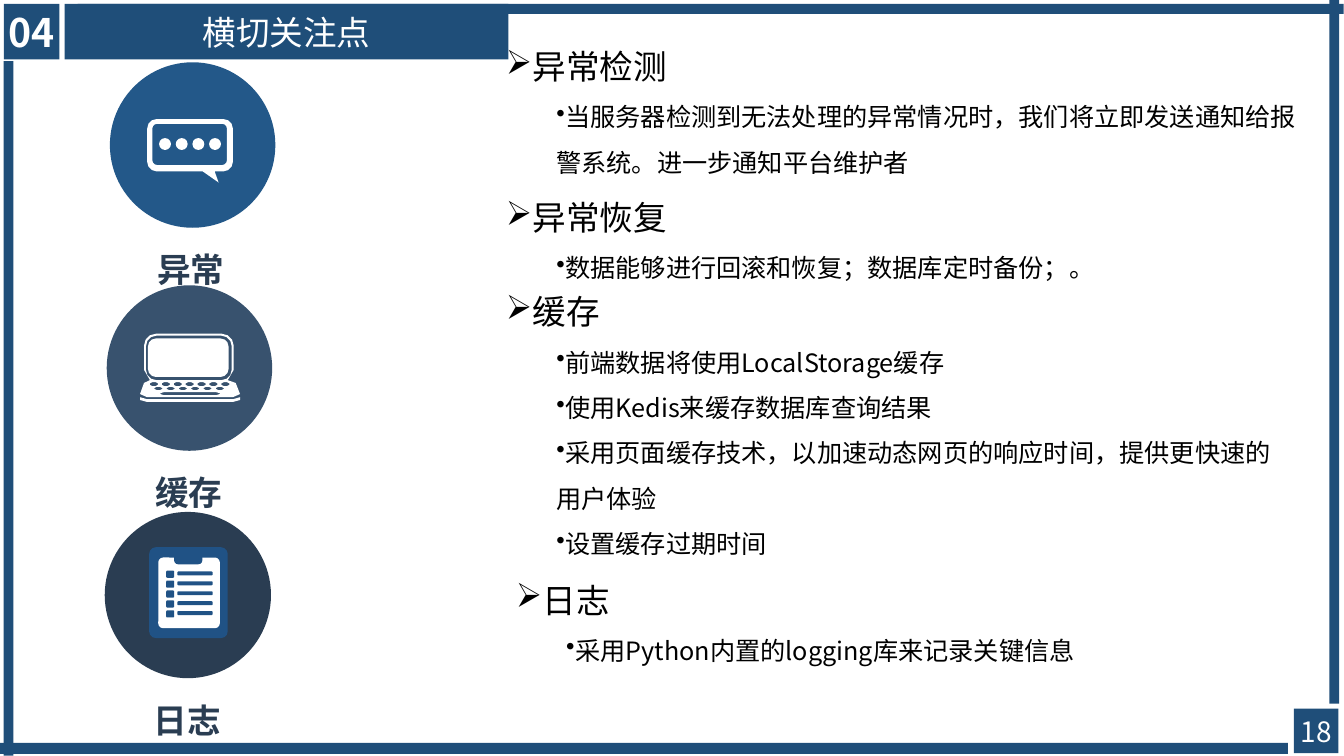
from dataclasses import dataclass
from math import cos, pi, sin

from lxml import etree
from pptx import Presentation
from pptx.dml.color import RGBColor
from pptx.enum.shapes import MSO_SHAPE
from pptx.enum.text import MSO_ANCHOR, MSO_AUTO_SIZE, PP_ALIGN
from pptx.oxml.ns import qn
from pptx.util import Cm, Pt

RECT, OVAL, ROUND = MSO_SHAPE.RECTANGLE, MSO_SHAPE.OVAL, MSO_SHAPE.ROUNDED_RECTANGLE
MIDDLE, CENTER = MSO_ANCHOR.MIDDLE, PP_ALIGN.CENTER
FIXED, GROW = MSO_AUTO_SIZE.NONE, MSO_AUTO_SIZE.SHAPE_TO_FIT_TEXT
FACE = "Noto Sans CJK SC"
HUES = {
    "frame": "1F4E79", "chat": "235889", "steel": "38526E", "navy": "2A3D52",
    "clip": "205285", "white": "FFFFFF", "black": "000000",
}
TIGHT = {"margin_left": 0, "margin_top": 0, "margin_right": 0, "margin_bottom": 0,
         "vertical_anchor": MIDDLE, "word_wrap": False}
HEAD = {"vertical_anchor": MIDDLE, "auto_size": FIXED, "word_wrap": True}
LABEL = {"word_wrap": False, "auto_size": GROW}
BODY = {"word_wrap": True, "auto_size": GROW}

Point = tuple[float, float]
Path = list[Point]
Box = tuple[float, float, float, float]


@dataclass
class Block:
    box: Box
    lines: list[tuple[int, str]]


@dataclass
class Badge:
    left: float
    top: float
    size: float
    hue: str
    label: str
    spot: Point


@dataclass
class Pane:
    box: Box
    curve: float
    hue: str


def ring(x: float, y: float, w: float, h: float, rx: float, ry: float, steps: int = 3) -> Path:
    mids = [(x + rx, y + ry), (x + w - rx, y + ry),
            (x + w - rx, y + h - ry), (x + rx, y + h - ry)]
    return [
        (cx + rx * cos(turn), cy + ry * sin(turn))
        for side, (cx, cy) in enumerate(mids)
        for turn in (pi + (side + k / steps) * pi / 2 for k in range(steps + 1))
    ]


def apply(target, form: dict) -> None:
    for name, value in form.items():
        setattr(target, name, value)


def paint(shape, hue: str) -> None:
    shape.shadow.inherit = False
    shape.fill.solid()
    shape.fill.fore_color.rgb = RGBColor.from_string(HUES[hue])
    shape.line.fill.background()


def write(para, text: str, size: int, hue: str, bold: bool = False) -> None:
    run = para.add_run()
    run.text = text
    apply(run.font, {"size": Pt(size), "bold": bold, "name": FACE})
    run.font.color.rgb = RGBColor.from_string(HUES[hue])
    latin = run.font._element.find(qn("a:latin"))
    latin.addnext(etree.Element(qn("a:ea"), typeface=FACE))


def place(shapes, kind, box: Box, hue: str):
    shape = shapes.add_shape(kind, *map(Cm, box))
    paint(shape, hue)
    return shape


def panel(shapes, item: Pane) -> None:
    shape = place(shapes, ROUND, item.box, item.hue)
    shape.adjustments[0] = item.curve / min(item.box[2:])


def trace(shapes, paths: list[Path]) -> None:
    pen = None
    for path in paths:
        first, *rest = [(Cm(x), Cm(y)) for x, y in path]
        if pen is None:
            pen = shapes.build_freeform(*first)
        else:
            pen.move_to(*first)
        pen.add_line_segments(rest, close=True)
    paint(pen.convert_to_shape(), "white")


def mark(shapes, box: Box, text: str, size: int, bold: bool) -> None:
    frame = place(shapes, RECT, box, "frame").text_frame
    apply(frame, TIGHT)
    para = frame.paragraphs[0]
    para.alignment = CENTER
    write(para, text, size, "white", bold)


def badge(shapes, item: Badge) -> None:
    place(shapes, OVAL, (item.left, item.top, item.size, item.size), item.hue)
    frame = shapes.add_textbox(*map(Cm, (*item.spot, 2.21, 1.27))).text_frame
    apply(frame, LABEL)
    write(frame.paragraphs[0], item.label, 24, "navy", True)


def block(shapes, item: Block) -> None:
    frame = shapes.add_textbox(*map(Cm, item.box)).text_frame
    apply(frame, BODY)
    for row, (level, text) in enumerate(item.lines):
        para = frame.add_paragraph() if row else frame.paragraphs[0]
        apply(para, {"level": level, "line_spacing": 1.5})
        write(para, text, 18 if level else 24, "black")
        props = para._p.get_or_add_pPr()
        props.set("marL", str(Cm(1.27) * level))
        props.set("indent", "0")
        etree.SubElement(props, qn("a:buChar"), char="•" if level else "➢")


BARS = [(1.96, 0.1, 31.9, 0.25), (0, 18.72, 32.46, 0.28),
        (33.5, 0, 0.25, 17.73), (0.09, 1.54, 0.25, 17.5)]
BADGES = [
    Badge(2.77, 1.57, 4.17, "chat", "异常", (3.71, 6.15)),
    Badge(2.69, 7.19, 4.17, "steel", "缓存", (3.66, 11.76)),
    Badge(2.64, 12.9, 4.19, "navy", "日志", (3.63, 17.5)),
]
BLOCKS = [
    Block((12.5, 0.53, 20.52, 8.15), [
        (0, "异常检测"),
        (1, "当服务器检测到无法处理的异常情况时，我们将立即发送通知给报警系统。进一步通知平台维护者"),
        (0, "异常恢复"),
        (1, "数据能够进行回滚和恢复；数据库定时备份；。"),
    ]),
    Block((12.5, 6.71, 19.86, 7.42), [
        (0, "缓存"),
        (1, "前端数据将使用LocalStorage缓存"),
        (1, "使用Kedis来缓存数据库查询结果"),
        (1, "采用页面缓存技术，以加速动态网页的响应时间，提供更快速的用户体验"),
        (1, "设置缓存过期时间"),
    ]),
    Block((12.75, 13.97, 17.22, 2.82), [
        (0, "日志"),
        (1, "采用Python内置的logging库来记录关键信息"),
    ]),
]
BUBBLE = [ring(3.71, 3, 2.16, 1.32, 0.24, 0.24), ring(3.84, 3.12, 1.88, 1.04, 0.12, 0.12),
          [(5.11, 4.32), (5.51, 4.6), (5.41, 4.32)]]
LID = ring(3.63, 8.41, 2.26, 1.17, 0.3, 0.3)
CASE = LID[:len(LID) // 2] + [
    (5.89, 9.32), (5.74, 9.58), (5.94, 9.65), (6.05, 9.93), (5.87, 10.01),
    (3.71, 10.01), (3.53, 9.93), (3.63, 9.65), (3.78, 9.58), (3.63, 9.32)]
KEYS = [ring(x + step * k, y, 0.2, h, 0.06, 0.03, 1)
        for x, y, h, step, count in [(3.78, 9.63, 0.1, 0.3, 7), (3.89, 9.75, 0.08, 0.31, 6)]
        for k in range(count)]
LAPTOP = [CASE, ring(3.68, 8.46, 2.16, 1.12, 0.26, 0.26),
          ring(4.04, 9.88, 1.5, 0.08, 0.1, 0.03, 1), *KEYS]
BASE = [(3.53, 10.01), (3.71, 10.06), (5.87, 10.06), (6.05, 10.01),
        (6.05, 10.08), (5.87, 10.13), (3.71, 10.13), (3.53, 10.08)]
PANES = [
    Pane((3.73, 8.53, 2.03, 0.97), 0.2, "white"),
    Pane((3.76, 13.79, 1.98, 2.29), 0.17, "clip"),
    Pane((3.99, 14.05, 1.55, 1.78), 0.12, "white"),
    Pane((4.39, 13.89, 0.71, 0.33), 0.1, "clip"),
    *[Pane((x, y + 0.25 * k, w, h), 0.03, "clip")
      for k in range(5)
      for x, y, w, h in [(4.47, 14.4, 0.89, 0.1), (4.19, 14.38, 0.2, 0.18)]],
]


def main() -> None:
    deck = Presentation()
    apply(deck, {"slide_width": Cm(33.87), "slide_height": Cm(19.05)})
    slide = deck.slides.add_slide(deck.slide_layouts[5])
    shapes = slide.shapes
    title = shapes.title
    apply(title, {"left": Cm(1.63), "top": Cm(0.1), "width": Cm(11.18), "height": Cm(1.4)})
    title.fill.solid()
    title.fill.fore_color.rgb = RGBColor.from_string(HUES["frame"])
    apply(title.text_frame, HEAD)
    title.text_frame.paragraphs[0].alignment = CENTER
    write(title.text_frame.paragraphs[0], "横切关注点", 24, "white")
    for bar in BARS:
        place(shapes, RECT, bar, "frame")
    mark(shapes, (0.1, 0.1, 1.4, 1.4), "04", 28, True)
    mark(shapes, (32.61, 17.86, 1.12, 1.12), "18", 20, False)
    for item in BADGES:
        badge(shapes, item)
    for paths in (BUBBLE, [BASE], LAPTOP):
        trace(shapes, paths)
    for item in PANES:
        panel(shapes, item)
    for k in range(4):
        place(shapes, OVAL, (4.01 + 0.42 * k, 3.48, 0.3, 0.3), "white")
    for item in BLOCKS:
        block(shapes, item)
    deck.save("out.pptx")


if __name__ == "__main__":
    main()
